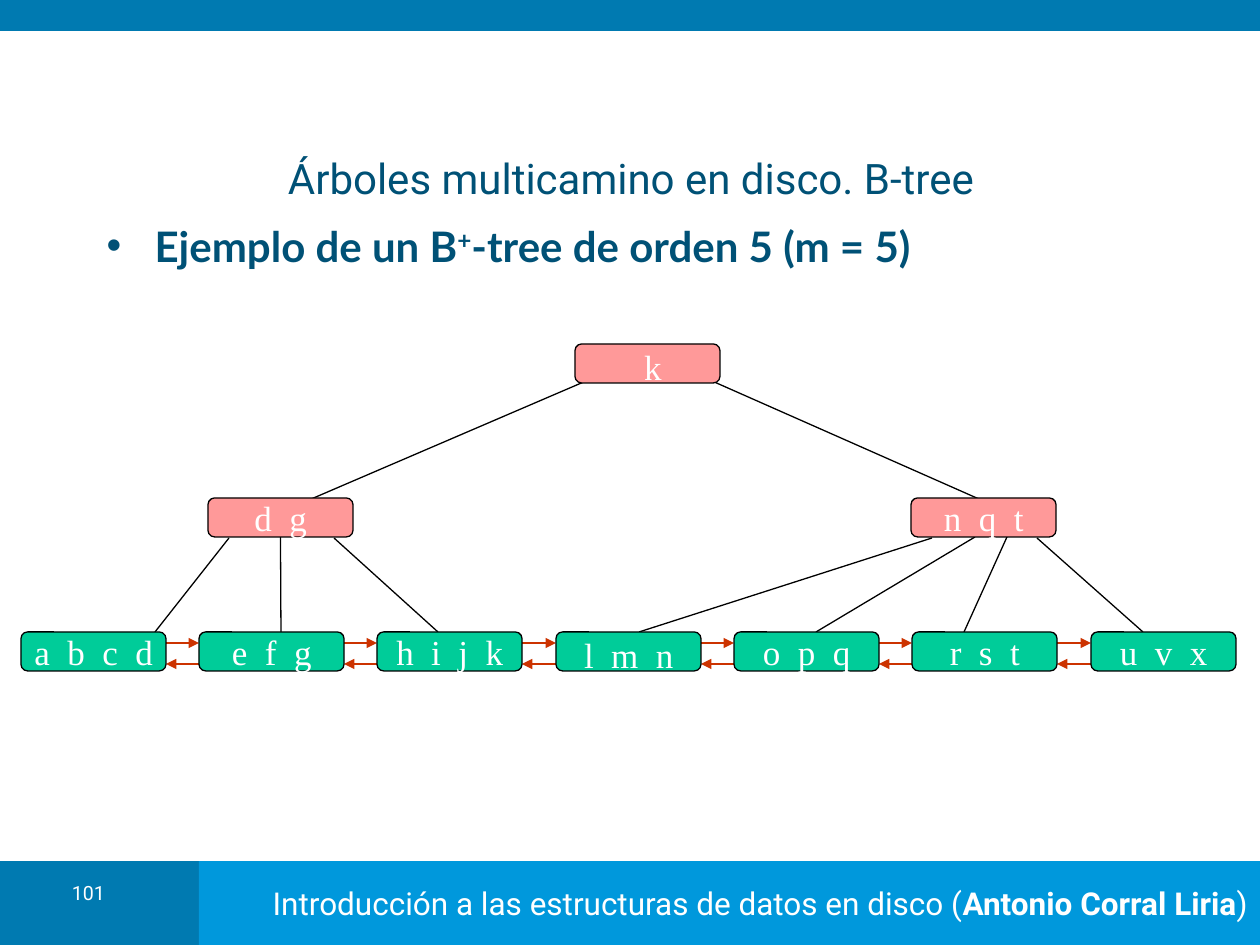
from lxml.etree import SubElement
from pptx import Presentation
from pptx.dml.color import RGBColor
from pptx.enum.shapes import MSO_CONNECTOR, MSO_SHAPE
from pptx.enum.text import MSO_ANCHOR, PP_ALIGN
from pptx.oxml.ns import qn
from pptx.util import Pt

PX = 914400 / 126
COLORS = {
    "dark": "007AB1", "light": "0098DC", "ink": "005176", "white": "FFFFFF",
    "black": "000000", "inner": "FF9999", "leaf": "00CC99", "arrow": "CC3300",
}


def emu(*lengths):
    return [round(v * PX) for v in lengths]


def add_run(p, text, color, **font):
    r = p.add_run()
    r.text = text
    r.font.color.rgb = RGBColor.from_string(COLORS[color])
    for name, value in font.items():
        setattr(r.font, name, value)
    return r


prs = Presentation()
prs.slide_width, prs.slide_height = emu(1260, 945)
s = prs.slides.add_slide(prs.slide_layouts[1])

# Bands at the top and bottom
bands = [("dark", 0, 861, 231, 84), ("light", 199, 861, 1061, 84), ("dark", 0, 0, 1260, 31)]
for color, *box in bands:
    sp = s.shapes.add_shape(MSO_SHAPE.RECTANGLE, *emu(*box))
    sp.shadow.inherit = False
    sp.fill.solid()
    sp.fill.fore_color.rgb = RGBColor.from_string(COLORS[color])
    sp.line.fill.background()
    if color == "light":
        tf = sp.text_frame
        tf.vertical_anchor = MSO_ANCHOR.MIDDLE
        p = tf.paragraphs[0]
        p.alignment = PP_ALIGN.RIGHT
        for text, bold in [("Introducción a las estructuras de datos en disco (", False),
                           ("Antonio Corral Liria", True), (")", False)]:
            add_run(p, text, "white", name="Roboto", size=Pt(18), bold=bold)

# Page number
tf = s.shapes.add_textbox(*emu(44, 879, 89, 40)).text_frame
tf.word_wrap = True
p = tf.paragraphs[0]
p.alignment, p.line_spacing = PP_ALIGN.CENTER, 0.8
add_run(p, "101", "white", name="Roboto", size=Pt(11.2))

# Title and list
title, body = s.placeholders
for sp, box in [(title, (105, 151, 1052, 53)), (body, (94, 214, 1140, 645))]:
    sp.left, sp.top, sp.width, sp.height = emu(*box)
title.text_frame.vertical_anchor = MSO_ANCHOR.MIDDLE
p = title.text_frame.paragraphs[0]
p.alignment = PP_ALIGN.CENTER
add_run(p, "Árboles multicamino en disco. B-tree", "ink", name="Roboto", size=Pt(24))

p = body.text_frame.paragraphs[0]
p.space_before = Pt(0)
pPr = p._p.get_or_add_pPr()
indent = emu(48)[0]
pPr.set("marL", str(indent))
pPr.set("indent", str(-indent))
SubElement(SubElement(pPr, qn("a:buClr")), qn("a:srgbClr"), val=COLORS["ink"])
SubElement(pPr, qn("a:buChar"), char="•")
for text, baseline in [("Ejemplo de un B", 0), ("+", 30000), ("-tree de orden 5 (m = 5)", 0)]:
    r = add_run(p, text, "ink", name="Lato", size=Pt(24), bold=True)
    r.font._element.set("baseline", str(baseline))

# Tree geometry
NODE_W, NODE_H, LEAF_Y = 145, 39, 632
leaf_xs = [21 + i * 1070 // 6 for i in range(7)]
leaf_texts = ["a b c d", "e f g", "h i j k", "l m n", "o p q", "r s t", "u v x"]

# Branches, then the double links between neighbouring leaves
lines = [("black", *ends) for ends in [
    (281, 538, 281, LEAF_Y), (229, 538, 155, LEAF_Y), (334, 538, 438, LEAF_Y),
    (932, 538, 639, LEAF_Y), (975, 537, 816, LEAF_Y),
    (1007, 537, 964, LEAF_Y), (1037, 538, 1143, LEAF_Y),
    (712, 381, 988, 503), (586, 381, 302, 503),
]]
for x, next_x in zip(leaf_xs, leaf_xs[1:]):
    lines.append(("arrow", x + NODE_W, 643, next_x, 643))
    lines.append(("arrow", next_x, 664, x + NODE_W, 664))

connectors = []
for color, *ends in lines:
    c = s.shapes.add_connector(MSO_CONNECTOR.STRAIGHT, *emu(*ends))
    c.line.width = Pt(0.75)
    c.line.color.rgb = RGBColor.from_string(COLORS[color])
    if color == "arrow":
        SubElement(c.line._get_or_add_ln(), qn("a:tailEnd"), type="triangle")
    SubElement(c._element.spPr, qn("a:effectLst"))
    connectors.append(c)

# Nodes: the last two values shift the text right and down
nodes = [(text, "leaf", x, LEAF_Y, 0, 6 if text == "l m n" else 0)
         for text, x in zip(leaf_texts, leaf_xs)]
nodes += [("k", "inner", 575, 344, 10, 6), ("d g", "inner", 208, 498, 0, 0),
          ("n q t", "inner", 911, 498, 0, 0)]
for text, color, x, y, right, down in nodes:
    sp = s.shapes.add_shape(MSO_SHAPE.ROUNDED_RECTANGLE, *emu(x, y, NODE_W, NODE_H))
    sp.adjustments[0] = 0.17
    sp.shadow.inherit = False
    sp.fill.solid()
    sp.fill.fore_color.rgb = RGBColor.from_string(COLORS[color])
    sp.line.color.rgb = RGBColor.from_string(COLORS["black"])
    sp.line.width = Pt(0.75)
    tf = sp.text_frame
    tf.word_wrap = False
    tf.vertical_anchor = MSO_ANCHOR.MIDDLE
    tf.margin_left, tf.margin_top = emu(13 + right, 6 + down)
    p = tf.paragraphs[0]
    p.alignment = PP_ALIGN.CENTER
    r = add_run(p, text, "white", name="Times New Roman", size=Pt(20))
    r.font._element.set("spc", "250")
    if text == "d g":
        connectors[0].begin_connect(sp, 2)

prs.save("out.pptx")
